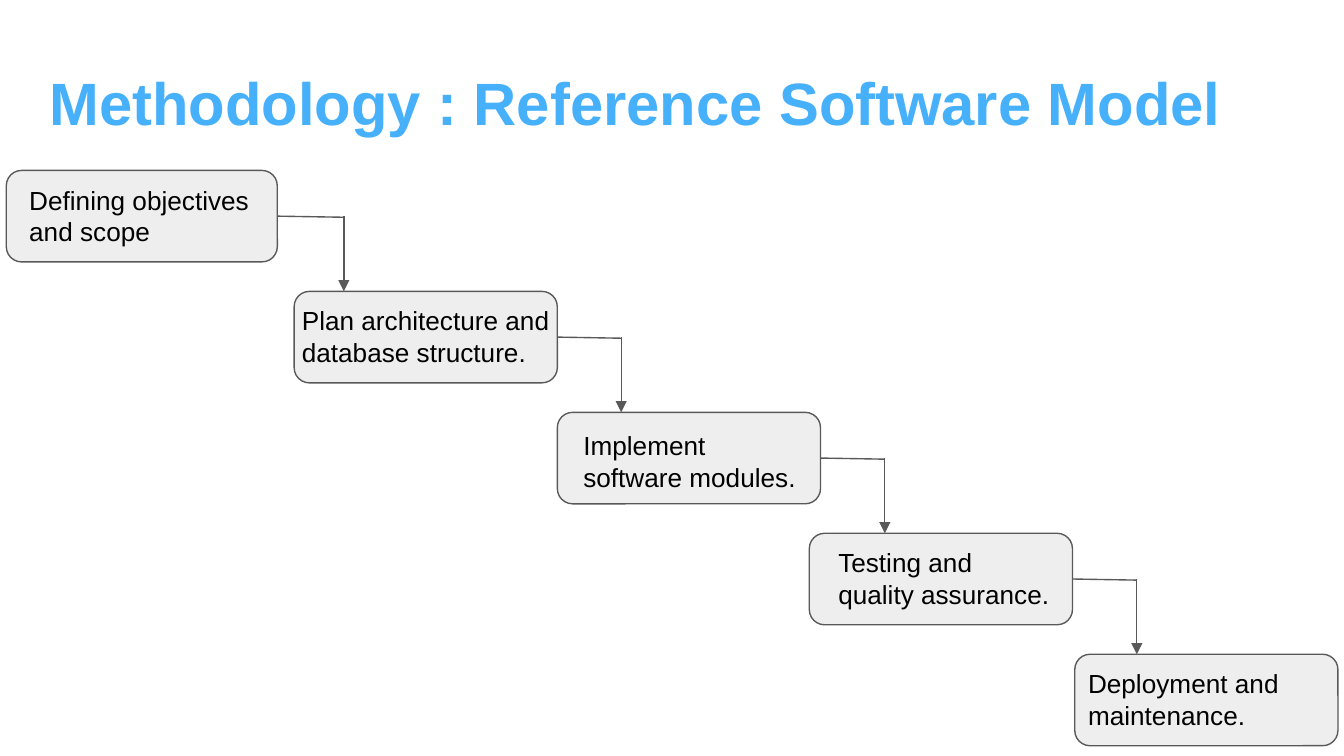
from lxml.etree import SubElement
from pptx import Presentation
from pptx.dml.color import RGBColor
from pptx.enum.shapes import MSO_CONNECTOR, MSO_SHAPE
from pptx.oxml.ns import qn
from pptx.util import Pt

TITLE_BLUE = RGBColor(0x46, 0xB0, 0xFA)
BOX_GREY = RGBColor(0xEE, 0xEE, 0xEE)
LINE_GREY = RGBColor(0x59, 0x59, 0x59)
BLACK = RGBColor(0, 0, 0)

FIRST_TOP = 91.3
STEP_DOWN = 64.8
BOX_HEIGHT = 49
TILT = 0.6

# box left, box width, text left, text top offset, text width, text
STAGES = [
    (3.4, 145.2, 8.6, 0, 141, "Defining objectives and scope"),
    (157.6, 141, 154.6, 0, 148, "Plan architecture and database structure."),
    (298.6, 141, 305.4, 2.2, 129.6, "Implement software modules."),
    (433.6, 141, 442, 0, 129.6, "Testing and quality assurance."),
    (575.8, 141, 575.8, 0, 129.6, "Deployment and maintenance."),
]
DROP_POSITIONS = [184.2, 332.8, 474, 609]


def add_text(slide, left, top, width, height, text, size, color, inset, bold=False):
    shape = slide.shapes.add_textbox(Pt(left), Pt(top), Pt(width), Pt(height))
    frame = shape.text_frame
    frame.word_wrap = True
    frame.margin_left = frame.margin_right = Pt(7.2)
    frame.margin_top = frame.margin_bottom = Pt(inset)
    paragraph = frame.paragraphs[0]
    paragraph.text = text
    font = paragraph.font
    font.name = "Arial"
    font.size = Pt(size)
    font.bold = bold
    font.color.rgb = color


def add_box(slide, left, top, width):
    shape = slide.shapes.add_shape(
        MSO_SHAPE.ROUNDED_RECTANGLE, Pt(left), Pt(top), Pt(width), Pt(BOX_HEIGHT))
    shape.shadow.inherit = False
    shape.fill.solid()
    shape.fill.fore_color.rgb = BOX_GREY
    shape.line.color.rgb = LINE_GREY
    shape.line.width = Pt(0.75)
    return shape


def add_line(slide, x1, y1, x2, y2, arrow=False):
    connector = slide.shapes.add_connector(
        MSO_CONNECTOR.STRAIGHT, Pt(x1), Pt(y1), Pt(x2), Pt(y2))
    connector.line.color.rgb = LINE_GREY
    connector.line.width = Pt(0.75)
    properties = connector._element.spPr
    if arrow:
        SubElement(properties.find(qn("a:ln")), qn("a:tailEnd"), type="triangle")
    SubElement(properties, qn("a:effectLst"))
    return connector


def add_elbow(slide, box, right, top, drop):
    middle = top + BOX_HEIGHT / 2
    across = add_line(slide, right, middle, drop, middle + TILT)
    across.begin_connect(box, 3)
    add_line(slide, drop, middle, drop, top + STEP_DOWN, arrow=True)


def main():
    presentation = Presentation()
    presentation.slide_width = Pt(720)
    presentation.slide_height = Pt(405)
    slide = presentation.slides.add_slide(presentation.slide_layouts[6])

    add_text(slide, 19.4, 31.7, 643.7, 46, "Methodology : Reference Software Model",
             32, TITLE_BLUE, 3.6, bold=True)

    for index, (left, width, text_left, offset, text_width, text) in enumerate(STAGES):
        top = FIRST_TOP + index * STEP_DOWN
        box = add_box(slide, left, top, width)
        if index < len(DROP_POSITIONS):
            add_elbow(slide, box, left + width, top, DROP_POSITIONS[index])
        add_text(slide, text_left, top + offset, text_width, BOX_HEIGHT, text,
                 14, BLACK, 7.2)

    presentation.save("out.pptx")


if __name__ == "__main__":
    main()
